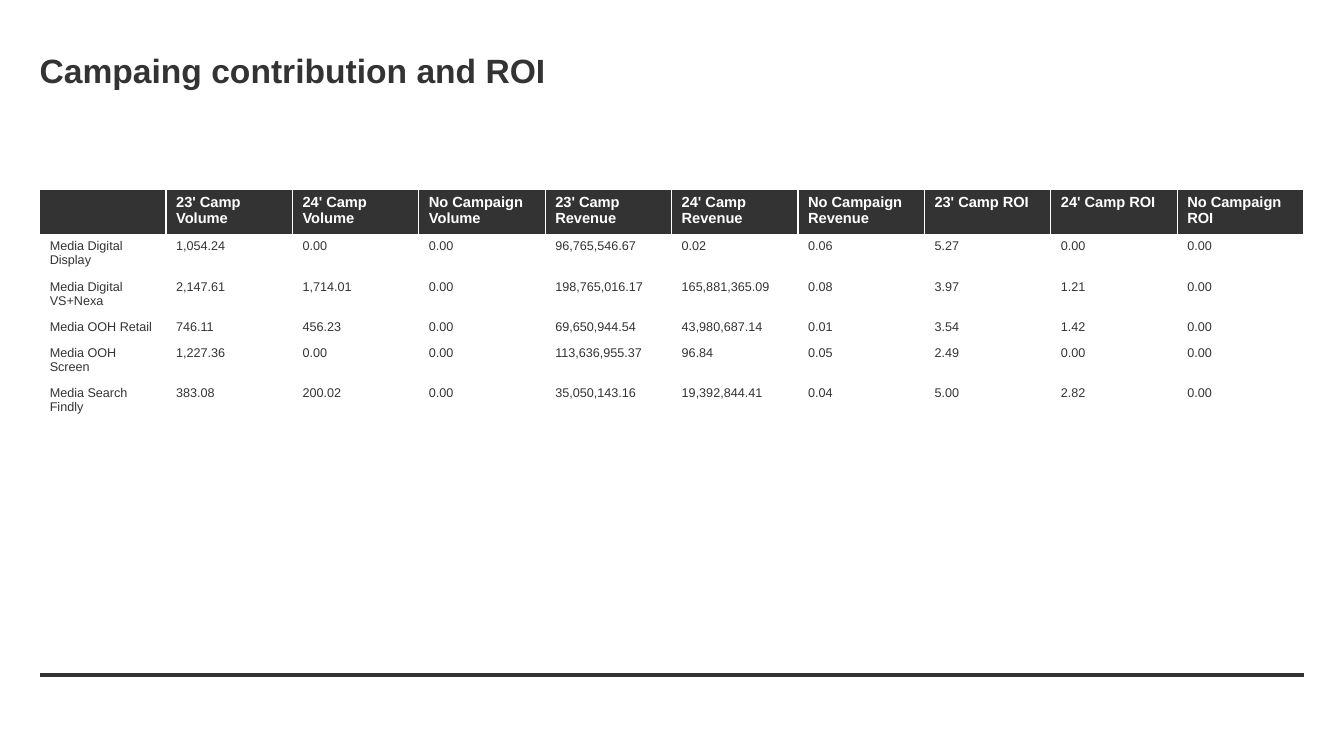
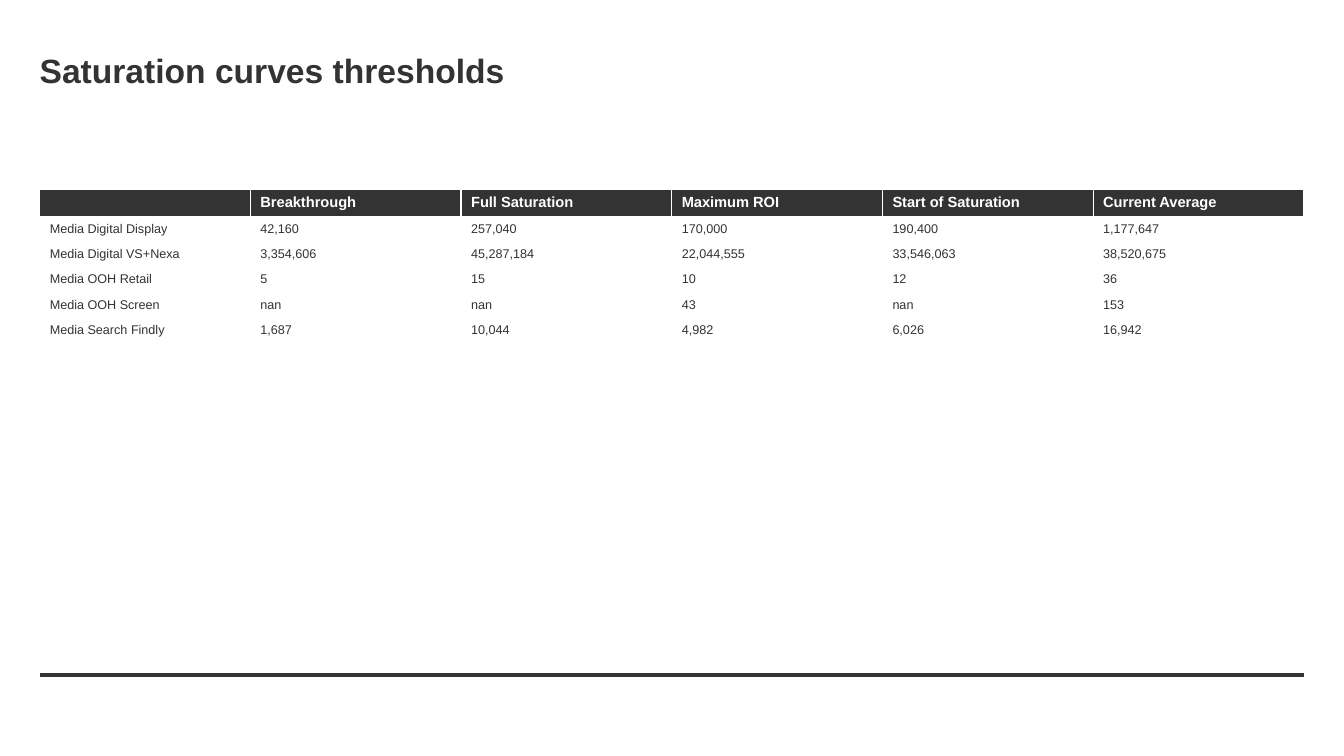
from lxml.etree import SubElement
from pptx import Presentation
from pptx.dml.color import RGBColor
from pptx.enum.shapes import MSO_CONNECTOR
from pptx.enum.text import MSO_ANCHOR
from pptx.oxml.ns import qn
from pptx.util import Pt

DARK, WHITE = "333333", "FFFFFF"
LEFT, WIDTH = 28.35, 903
TABLE_TOP, ROW_HEIGHT = 135, 18
FOOTER_Y = 481.9

CHANNELS = [
    "Media Digital Display",
    "Media Digital VS+Nexa",
    "Media OOH Retail",
    "Media OOH Screen",
    "Media Search Findly",
]

CONTENT = [
    (
        "Campaing contribution and ROI",
        ["23' Camp Volume", "24' Camp Volume", "No Campaign Volume",
         "23' Camp Revenue", "24' Camp Revenue", "No Campaign Revenue",
         "23' Camp ROI", "24' Camp ROI", "No Campaign ROI"],
        [
            ["1,054.24", "0.00", "0.00", "96,765,546.67", "0.02", "0.06",
             "5.27", "0.00", "0.00"],
            ["2,147.61", "1,714.01", "0.00", "198,765,016.17", "165,881,365.09", "0.08",
             "3.97", "1.21", "0.00"],
            ["746.11", "456.23", "0.00", "69,650,944.54", "43,980,687.14", "0.01",
             "3.54", "1.42", "0.00"],
            ["1,227.36", "0.00", "0.00", "113,636,955.37", "96.84", "0.05",
             "2.49", "0.00", "0.00"],
            ["383.08", "200.02", "0.00", "35,050,143.16", "19,392,844.41", "0.04",
             "5.00", "2.82", "0.00"],
        ],
    ),
    (
        "Saturation curves thresholds",
        ["Breakthrough", "Full Saturation", "Maximum ROI",
         "Start of Saturation", "Current Average"],
        [
            ["42,160", "257,040", "170,000", "190,400", "1,177,647"],
            ["3,354,606", "45,287,184", "22,044,555", "33,546,063", "38,520,675"],
            ["5", "15", "10", "12", "36"],
            ["nan", "nan", "43", "nan", "153"],
            ["1,687", "10,044", "4,982", "6,026", "16,942"],
        ],
    ),
]


def rgb(color):
    return RGBColor.from_string(color)


def style_font(paragraph, size, color, bold):
    font = paragraph.font
    font.name = "Arial"
    font.size = Pt(size)
    font.bold = bold
    font.color.rgb = rgb(color)


prs = Presentation()
prs.slide_width, prs.slide_height = Pt(960), Pt(540)

for heading, measures, values in CONTENT:
    slide = prs.slides.add_slide(prs.slide_layouts[6])

    footer_rule = slide.shapes.add_connector(
        MSO_CONNECTOR.STRAIGHT, Pt(LEFT), Pt(FOOTER_Y), Pt(LEFT + WIDTH), Pt(FOOTER_Y))
    footer_rule.line.color.rgb = rgb(DARK)
    footer_rule.line.width = Pt(3)
    SubElement(footer_rule._element.spPr, qn("a:effectLst"))

    title = slide.shapes.add_textbox(Pt(LEFT), Pt(34), Pt(WIDTH), Pt(32)).text_frame
    title.word_wrap = True
    title.vertical_anchor = MSO_ANCHOR.MIDDLE
    title.margin_left = title.margin_right = title.margin_top = title.margin_bottom = 0
    title.text = heading
    style_font(title.paragraphs[0], 24, DARK, True)

    rows = [["", *measures]]
    rows += [[channel, *figures] for channel, figures in zip(CHANNELS, values)]
    columns = len(rows[0])
    table = slide.shapes.add_table(
        len(rows), columns, Pt(LEFT), Pt(TABLE_TOP),
        Pt(WIDTH), Pt(ROW_HEIGHT * len(rows))).table
    table.horz_banding = False
    for column in table.columns:
        column.width = Pt(WIDTH / columns)

    for r, row in enumerate(rows):
        is_header = r == 0
        for c, text in enumerate(row):
            cell = table.cell(r, c)
            cell.fill.solid()
            cell.fill.fore_color.rgb = rgb(DARK if is_header else WHITE)
            cell.text = text
            style_font(cell.text_frame.paragraphs[0], 10.5 if is_header else 9,
                       WHITE if is_header else DARK, is_header)

prs.save("out.pptx")
